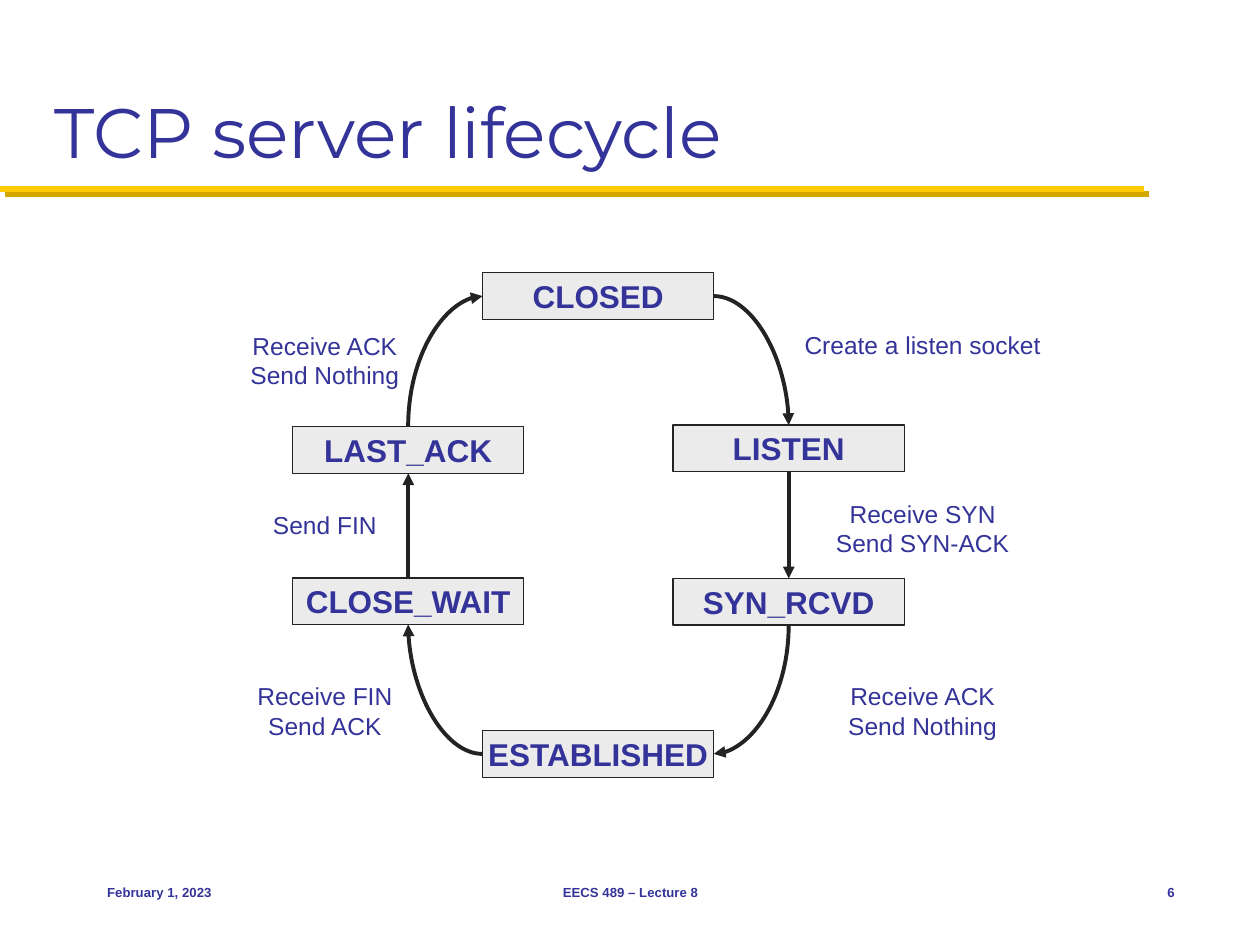
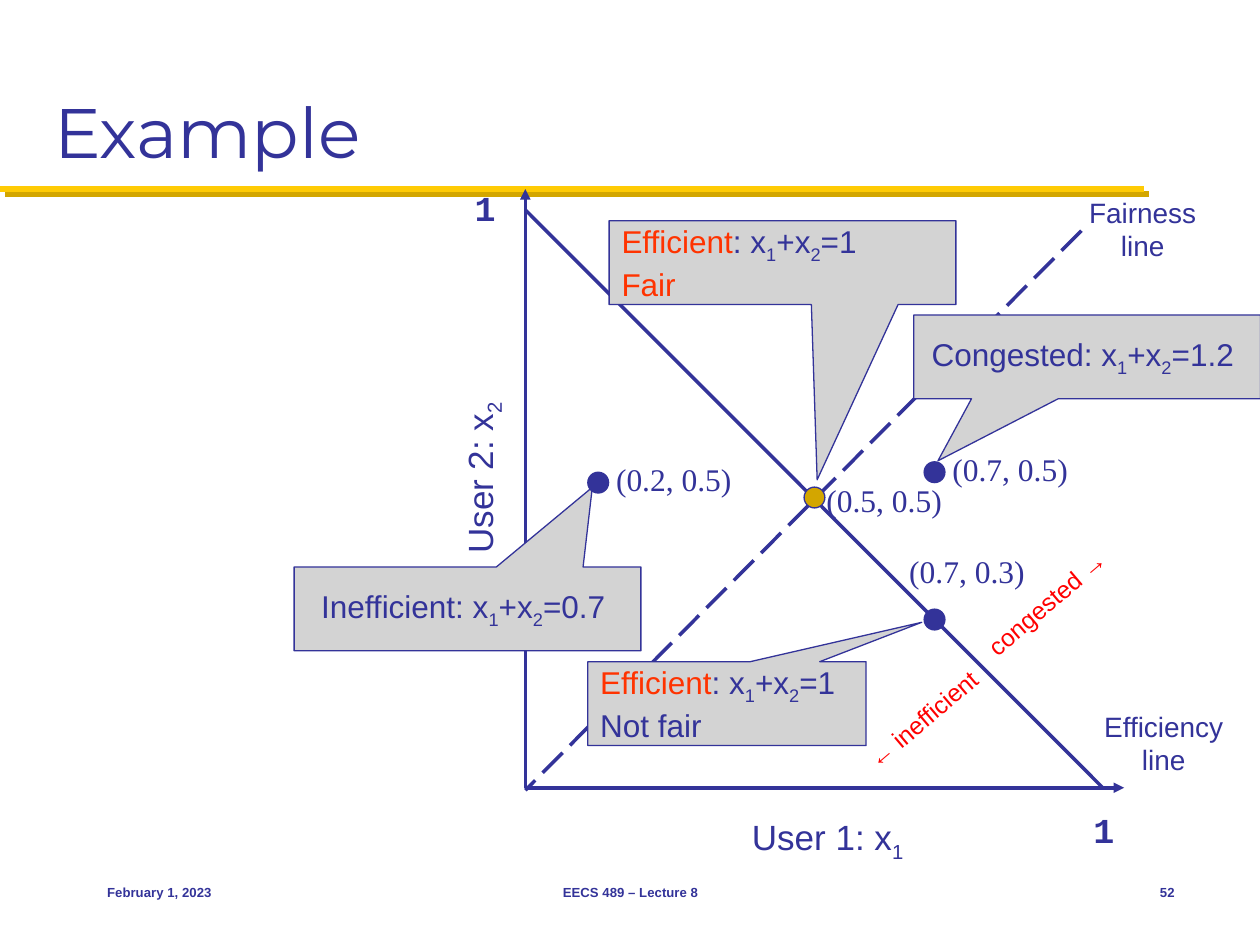
from dataclasses import dataclass

from lxml.etree import SubElement
from pptx import Presentation
from pptx.dml.color import RGBColor
from pptx.enum.dml import MSO_LINE
from pptx.enum.shapes import MSO_CONNECTOR, MSO_SHAPE
from pptx.enum.text import MSO_ANCHOR, PP_ALIGN
from pptx.oxml.ns import qn
from pptx.shapes.autoshape import Shape
from pptx.shapes.connector import Connector
from pptx.slide import Slide
from pptx.text.text import TextFrame
from pptx.util import Cm, Pt

COLORS = {
    "navy": "333399",
    "yellow": "FFCB05",
    "gold": "D3A600",
    "ink": "232323",
    "state": "EBEBEB",
    "callout": "D3D3D3",
    "orange": "FF3300",
    "red": "FF0000",
}
TOP, LEFT, BOTTOM, RIGHT = range(4)
DOT_SIZE = 0.42


@dataclass(frozen=True)
class Span:
    text: str
    color: str = ""
    subscript: bool = False


Paragraphs = list[list[Span]]


@dataclass(frozen=True)
class Area:
    left: float
    top: float
    width: float
    height: float

    def lengths(self) -> tuple[Cm, Cm, Cm, Cm]:
        return Cm(self.left), Cm(self.top), Cm(self.width), Cm(self.height)


@dataclass(frozen=True)
class State:
    name: str
    left: float
    top: float


@dataclass(frozen=True)
class Transition:
    start: str
    start_side: int
    end: str
    end_side: int
    arrow: str = "tailEnd"
    curved: bool = True


@dataclass(frozen=True)
class Label:
    text: str
    area: Area
    size: float = 14
    font: str = "Arial"
    color: str = "navy"
    bold: bool = False
    align: PP_ALIGN = PP_ALIGN.CENTER
    rotation: float = 0
    subscript: str = ""


@dataclass(frozen=True)
class Allocation:
    callout: Area
    tip: tuple[float, float]
    paragraphs: Paragraphs
    align: PP_ALIGN
    dot: tuple[float, float]
    dot_color: str
    coordinates: str
    coordinates_at: tuple[float, float]


def rgb(name: str) -> RGBColor:
    return RGBColor.from_string(COLORS[name])


def write_text(frame: TextFrame, text: str | Paragraphs, *, size: float, font: str = "Arial",
               color: str = "navy", bold: bool = False, align: PP_ALIGN = PP_ALIGN.LEFT,
               anchor: MSO_ANCHOR = MSO_ANCHOR.TOP, wrap: bool = False) -> None:
    frame.word_wrap = wrap
    frame.vertical_anchor = anchor
    paragraphs = [[Span(line)] for line in text.split("\n")] if isinstance(text, str) else text
    for index, spans in enumerate(paragraphs):
        para = frame.add_paragraph() if index else frame.paragraphs[0]
        para.alignment = align
        for span in spans:
            run = para.add_run()
            run.text = span.text
            run.font.size = Pt(size)
            run.font.name = font
            run.font.bold = bold
            run.font.color.rgb = rgb(span.color or color)
            if span.subscript:
                run.font._element.set("baseline", "-25000")


def add_text(page: Slide, area: Area, text: str | Paragraphs, **text_format) -> Shape:
    box = page.shapes.add_textbox(*area.lengths())
    write_text(box.text_frame, text, **text_format)
    return box


def add_label(page: Slide, label: Label) -> None:
    spans: str | Paragraphs = label.text
    if label.subscript:
        spans = [[Span(label.text), Span(label.subscript, subscript=True)]]
    box = add_text(page, label.area, spans, size=label.size, font=label.font,
                   color=label.color, bold=label.bold, align=label.align)
    box.rotation = label.rotation


def add_box(page: Slide, kind: MSO_SHAPE, area: Area, fill: str, line: str) -> Shape:
    box = page.shapes.add_shape(kind, *area.lengths())
    box.shadow.inherit = False
    box.fill.solid()
    box.fill.fore_color.rgb = rgb(fill)
    box.line.color.rgb = rgb(line)
    box.line.width = Pt(0.75)
    return box


def add_line(page: Slide, start: tuple[float, float], end: tuple[float, float], color: str,
             width: float, arrow: str = "", kind: MSO_CONNECTOR = MSO_CONNECTOR.STRAIGHT) -> Connector:
    line = page.shapes.add_connector(kind, *(Cm(value) for value in start + end))
    line.line.color.rgb = rgb(color)
    line.line.width = Pt(width)
    if arrow:
        SubElement(line.line._get_or_add_ln(), qn(f"a:{arrow}"), type="triangle")
    SubElement(line._element.spPr, qn("a:effectLst"))
    return line


def add_page(deck: Presentation, title: str, number: int) -> Slide:
    page = deck.slides.add_slide(deck.slide_layouts[6])
    band = add_line(page, (0, 3.81), (23.06, 3.81), "yellow", 3.5)
    effects = band._element.spPr.find(qn("a:effectLst"))
    shadow = SubElement(effects, qn("a:outerShdw"), dist=str(Pt(4.2)), dir="2700000",
                        algn="ctr", rotWithShape="0")
    SubElement(shadow, qn("a:srgbClr"), val=COLORS["gold"])
    add_text(page, Area(0.84, 0.43, 23.7, 3.18), title, size=40, font="Montserrat",
             anchor=MSO_ANCHOR.BOTTOM, wrap=True)
    footers = [
        ("February 1, 2023", 1.91, 5.28, PP_ALIGN.LEFT),
        ("EECS 489 – Lecture 8", 8.69, 8.04, PP_ALIGN.CENTER),
        (str(number), 22.23, 1.7, PP_ALIGN.RIGHT),
    ]
    for text, left, width, align in footers:
        add_text(page, Area(left, 17.36, width, 1.27), text, size=7.5, bold=True,
                 align=align, anchor=MSO_ANCHOR.MIDDLE, wrap=True)
    return page


def add_transition(page: Slide, boxes: dict[str, Shape], transition: Transition) -> None:
    kind = MSO_CONNECTOR.CURVE if transition.curved else MSO_CONNECTOR.STRAIGHT
    line = add_line(page, (0, 0), (0, 0), "ink", 2.25, transition.arrow, kind)
    line.begin_connect(boxes[transition.start], transition.start_side)
    line.end_connect(boxes[transition.end], transition.end_side)
    if transition.curved:
        line._element.spPr.find(qn("a:prstGeom")).set("prst", "curvedConnector2")


def build_lifecycle(deck: Presentation) -> None:
    page = add_page(deck, "TCP server lifecycle", 6)
    left, middle, right = 5.9, 9.73, 13.57
    states = [
        State("CLOSED", middle, 5.5),
        State("LISTEN", right, 8.57),
        State("SYN_RCVD", right, 11.66),
        State("ESTABLISHED", middle, 14.73),
        State("CLOSE_WAIT", left, 11.65),
        State("LAST_ACK", left, 8.6),
    ]
    boxes: dict[str, Shape] = {}
    for state in states:
        box = add_box(page, MSO_SHAPE.RECTANGLE, Area(state.left, state.top, 4.66, 0.94), "state", "ink")
        write_text(box.text_frame, state.name, size=18, bold=True,
                   align=PP_ALIGN.CENTER, anchor=MSO_ANCHOR.MIDDLE)
        boxes[state.name] = box

    transitions = [
        Transition("CLOSED", RIGHT, "LISTEN", TOP),
        Transition("LISTEN", BOTTOM, "SYN_RCVD", TOP, curved=False),
        Transition("ESTABLISHED", RIGHT, "SYN_RCVD", BOTTOM, arrow="headEnd"),
        Transition("CLOSED", LEFT, "LAST_ACK", TOP, arrow="headEnd"),
        Transition("ESTABLISHED", LEFT, "CLOSE_WAIT", BOTTOM),
        Transition("CLOSE_WAIT", TOP, "LAST_ACK", BOTTOM, curved=False),
    ]
    for transition in transitions:
        add_transition(page, boxes, transition)

    left_labels, right_labels = 3.91, 15.96
    events = [
        ("Create a listen socket", right_labels, 6.53),
        ("Receive SYN\nSend SYN-ACK", right_labels, 9.93),
        ("Receive ACK\nSend Nothing", right_labels, 13.61),
        ("Receive FIN\nSend ACK", left_labels, 13.61),
        ("Send FIN", left_labels, 10.16),
        ("Receive ACK\nSend Nothing", left_labels, 6.55),
    ]
    for text, column, top in events:
        height = 0.86 + 0.59 * text.count("\n")
        add_label(page, Label(text, Area(column, top, 5.28, height)))


def rate_sum(verdict: str, total: str, color: str = "navy") -> list[Span]:
    return [Span(verdict, color), Span(": x"), Span("1", subscript=True),
            Span("+x"), Span("2", subscript=True), Span(f"={total}")]


def add_allocation(page: Slide, allocation: Allocation) -> None:
    callout = add_box(page, MSO_SHAPE.RECTANGULAR_CALLOUT, allocation.callout, "callout", "navy")
    callout.adjustments[0], callout.adjustments[1] = allocation.tip
    write_text(callout.text_frame, allocation.paragraphs, size=18, align=allocation.align,
               anchor=MSO_ANCHOR.MIDDLE, wrap=True)
    add_box(page, MSO_SHAPE.OVAL, Area(*allocation.dot, DOT_SIZE, DOT_SIZE), allocation.dot_color, "navy")
    add_text(page, Area(*allocation.coordinates_at, 2.87, 1.02), allocation.coordinates,
             size=18, font="Times New Roman")


def build_example(deck: Presentation) -> None:
    page = add_page(deck, "Example", 52)
    origin = (10.59, 15.88)
    add_line(page, origin, (10.59, 3.81), "navy", 2, "tailEnd")
    add_line(page, origin, (22.66, 15.88), "navy", 2, "tailEnd")
    fairness = add_line(page, (21.8, 4.65), (10.59, 15.93), "navy", 2)
    fairness.line.dash_style = MSO_LINE.LONG_DASH
    add_line(page, (10.59, 4.23), (22.23, 15.88), "navy", 2)

    one = {"size": 20, "font": "Courier New", "bold": True, "align": PP_ALIGN.LEFT}
    slope = {"color": "red", "rotation": 319.6}
    labels = [
        Label("User 1: x", Area(14.88, 16.31, 3.61, 1.09), size=20, subscript="1"),
        Label("User 2: x", Area(7.85, 9.09, 3.61, 1.09), size=20, rotation=270, subscript="2"),
        Label("Fairness\nline", Area(21.69, 3.81, 2.69, 1.63), size=16),
        Label("Efficiency\nline", Area(22, 14.17, 2.92, 1.63), size=16),
        Label("1", Area(21.79, 16.18, 0.86, 1.02), **one),
        Label("1", Area(9.32, 3.63, 0.86, 1.02), **one),
        Label("congested →", Area(19.38, 11.73, 3.43, 0.84), **slope),
        Label("← inefficient", Area(16.97, 14.07, 3.25, 0.84), **slope),
    ]
    for label in labels:
        add_label(page, label)

    efficient = rate_sum("Efficient", "1", "orange")
    allocations = [
        Allocation(Area(5.93, 11.43, 6.99, 1.69), (0.36, -1.45), [rate_sum("Inefficient", "0.7 ")],
                   PP_ALIGN.CENTER, (11.85, 9.52), "navy", "(0.2, 0.5)", (12.17, 9.14)),
        Allocation(Area(18.42, 6.35, 6.99, 1.69), (-0.43, 1.24), [rate_sum("Congested", "1.2 ")],
                   PP_ALIGN.CENTER, (18.63, 9.31), "navy", "(0.7, 0.5)", (18.95, 8.94)),
        Allocation(Area(12.28, 4.45, 6.99, 1.69), (0.1, 2.59), [efficient, [Span("Fair", "orange")]],
                   PP_ALIGN.LEFT, (16.21, 9.82), "gold", "(0.5, 0.5)", (16.41, 9.58)),
        Allocation(Area(11.85, 13.34, 5.61, 1.69), (0.7, -0.97), [efficient, [Span("Not fair")]],
                   PP_ALIGN.LEFT, (18.63, 12.28), "navy", "(0.7, 0.3)", (18.08, 11)),
    ]
    for allocation in allocations:
        add_allocation(page, allocation)


def main() -> None:
    deck = Presentation()
    deck.slide_width, deck.slide_height = Cm(25.4), Cm(19.05)
    build_lifecycle(deck)
    build_example(deck)
    deck.save("out.pptx")


if __name__ == "__main__":
    main()
